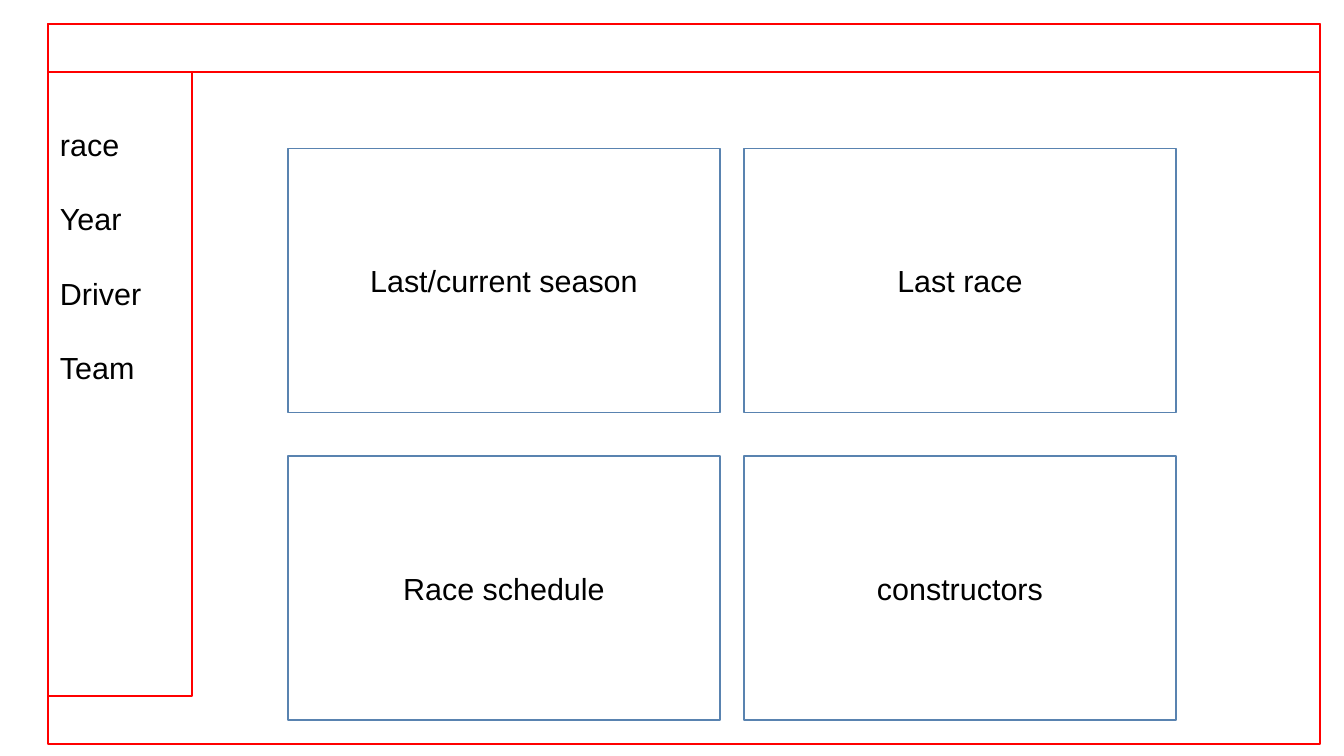
from itertools import product

from pptx import Presentation
from pptx.dml.color import RGBColor
from pptx.enum.shapes import MSO_SHAPE
from pptx.enum.text import MSO_ANCHOR, PP_ALIGN
from pptx.util import Cm, Pt

FRAME_LINE = "FF0000"
CARD_LINE = "5983B0"
MENU = ["race", "Year", "Driver", "Team"]
CARDS = ["Last/current season", "Last race", "Race schedule", "constructors"]


def color(value):
    """Return the colour for a hex string."""
    return RGBColor.from_string(value)


def add_text(frame, lines, align=PP_ALIGN.LEFT, anchor=MSO_ANCHOR.TOP,
             wrap=True, gap=0, size=18, font="Arial", ink="000000"):
    """Write one paragraph per line, with a gap in points between them."""
    frame.word_wrap = wrap
    frame.vertical_anchor = anchor
    for index, line in enumerate(lines):
        para = frame.add_paragraph() if index else frame.paragraphs[0]
        para.alignment = align
        if index:
            para.space_before = Pt(gap)
        span = para.add_run()
        span.text = line
        span.font.size = Pt(size)
        span.font.name = font
        span.font.color.rgb = color(ink)


def add_panel(page, left, top, width, height, line):
    """Draw a white rectangle with a hairline border."""
    box = page.shapes.add_shape(
        MSO_SHAPE.RECTANGLE, Cm(left), Cm(top), Cm(width), Cm(height))
    box.shadow.inherit = False
    box.fill.solid()
    box.fill.fore_color.rgb = color("FFFFFF")
    box.line.color.rgb = color(line)
    box.line.width = Pt(0)
    return box


def add_card(page, left, top, label):
    """Draw a dashboard card with a centred label."""
    box = add_panel(page, left, top, 9, 5.5, CARD_LINE)
    add_text(box.text_frame, [label], align=PP_ALIGN.CENTER,
             anchor=MSO_ANCHOR.MIDDLE, wrap=False)


def add_menu(page):
    """Write the sidebar menu."""
    box = page.shapes.add_textbox(Cm(1), Cm(2.5), Cm(3), Cm(6.65))
    add_text(box.text_frame, MENU, gap=22.4)


def main():
    """Build the dashboard wireframe."""
    deck = Presentation()
    deck.slide_width, deck.slide_height = Cm(28), Cm(15.75)
    page = deck.slides.add_slide(deck.slide_layouts[6])
    window, header, sidebar = (1, 0.5, 26.5, 15), (1, 0.5, 26.5, 1), (1, 1.5, 3, 13)
    for area in (window, header, sidebar):
        add_panel(page, *area, FRAME_LINE)
    for (row, column), label in zip(product(range(2), repeat=2), CARDS):
        add_card(page, 6 + 9.5 * column, 3.1 + 6.4 * row, label)
    add_menu(page)
    deck.save("out.pptx")


if __name__ == "__main__":
    main()
